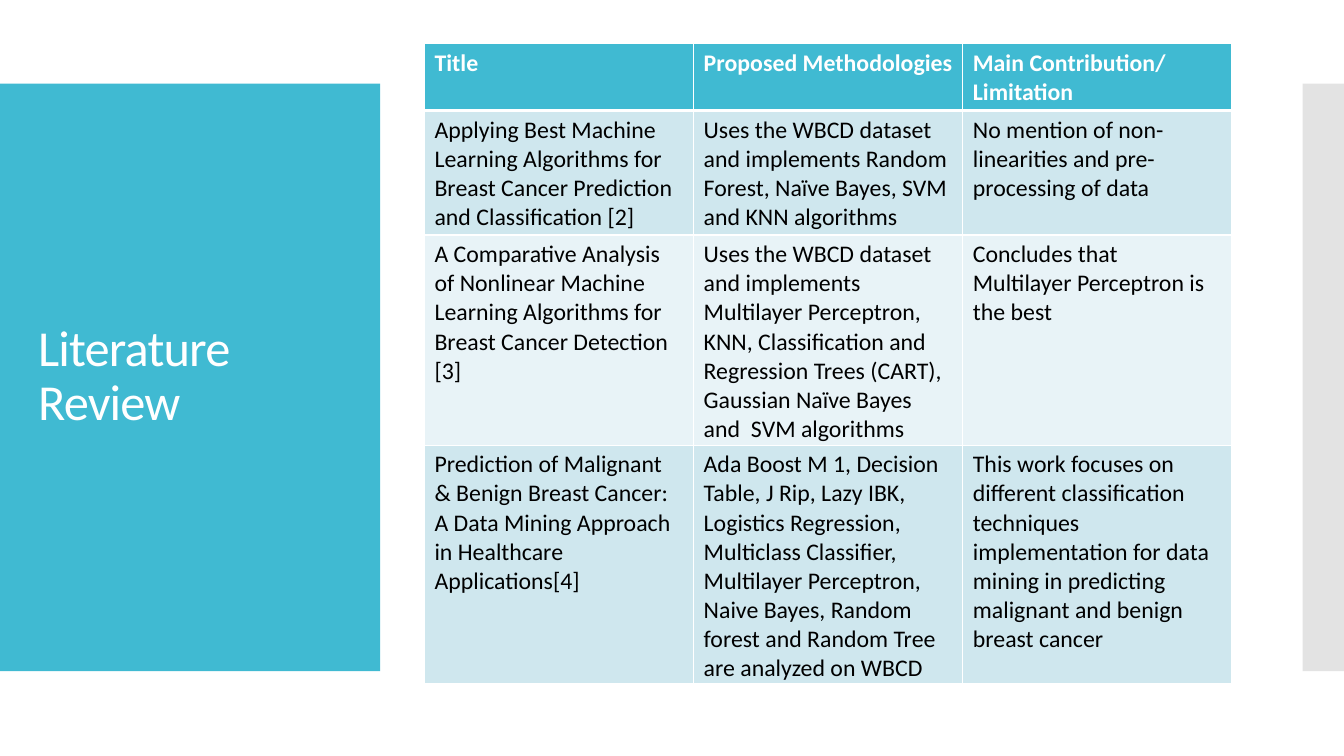
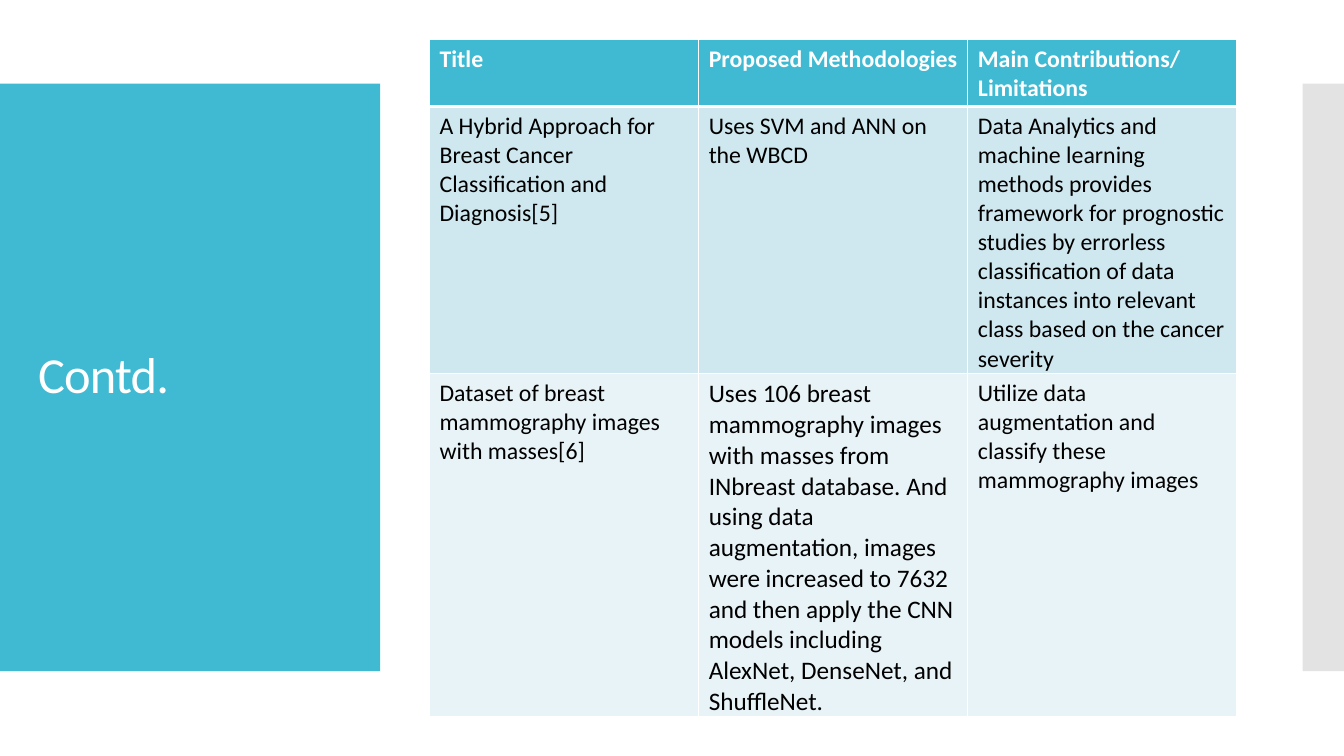
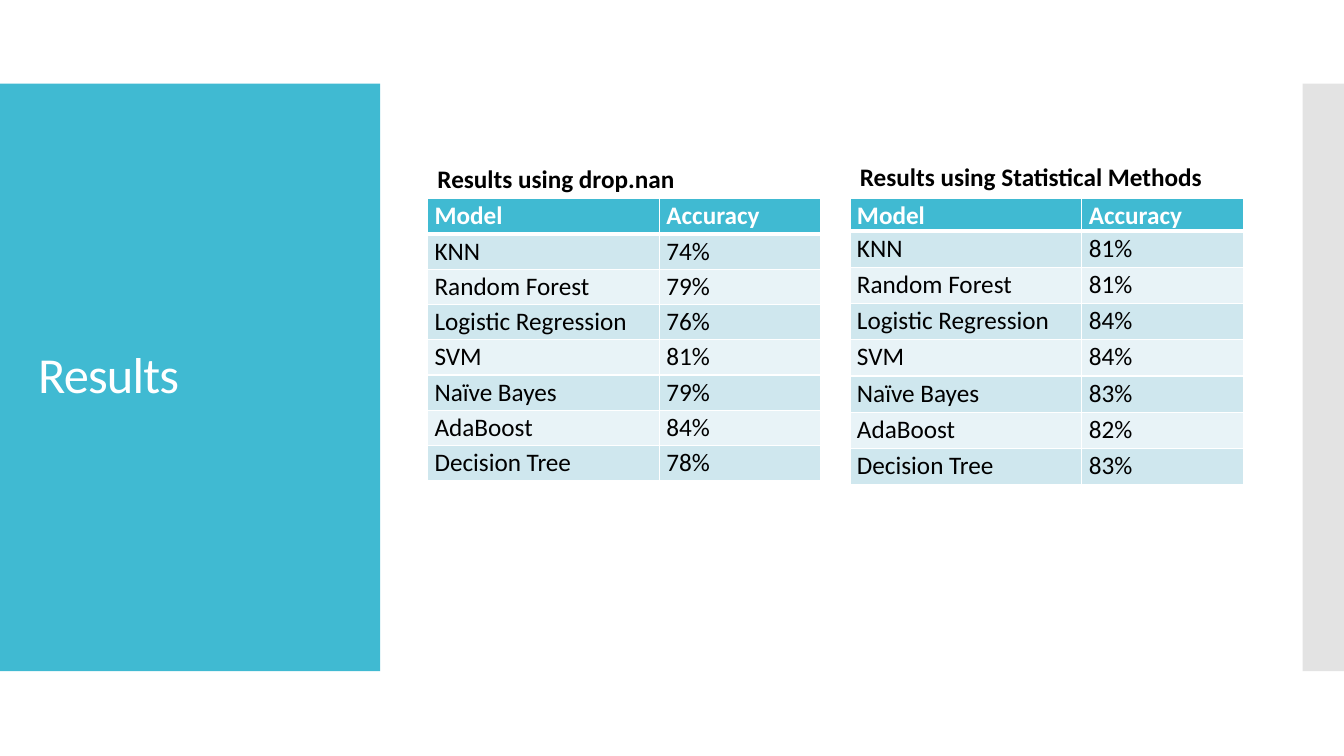
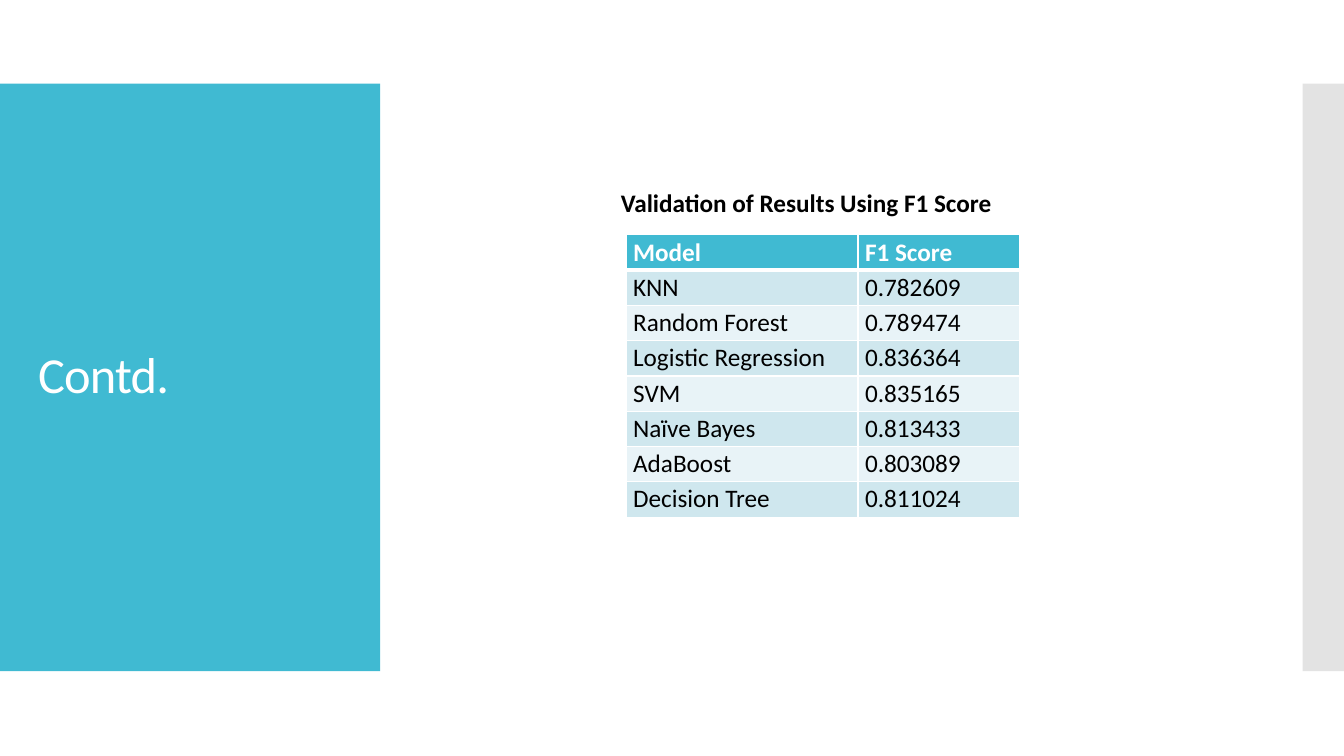
from dataclasses import dataclass

from lxml import etree
from pptx import Presentation
from pptx.dml.color import RGBColor as RGB
from pptx.enum.shapes import MSO_SHAPE as SHAPE
from pptx.enum.text import MSO_ANCHOR as ANCHOR
from pptx.oxml.ns import qn
from pptx.util import Inches, Pt


@dataclass(frozen=True)
class Theme:
    font: str = "Calibri"
    accent: RGB = RGB(0x40, 0xBA, 0xD2)
    edge: RGB = RGB(0xC8, 0xC8, 0xC8)
    band_dark: RGB = RGB(0xCF, 0xE7, 0xEE)
    band_light: RGB = RGB(0xE8, 0xF3, 0xF7)
    white: RGB = RGB(0xFF, 0xFF, 0xFF)
    black: RGB = RGB(0x00, 0x00, 0x00)
    title_size: float = 36
    review_size: float = 17
    score_size: float = 18


THEME = Theme()
MODELS = ["KNN", "Random Forest", "Logistic Regression", "SVM",
          "Naïve Bayes", "AdaBoost", "Decision Tree"]

REVIEW = [
    ["Title", "Proposed Methodologies", "Main Contribution/ Limitation"],
    ["Applying Best Machine Learning Algorithms for Breast Cancer Prediction "
     "and Classification [2]",
     "Uses the WBCD dataset and implements Random Forest, Naïve Bayes, SVM "
     "and KNN algorithms",
     "No mention of non-linearities and pre-processing of data"],
    ["A Comparative Analysis of Nonlinear Machine Learning Algorithms for "
     "Breast Cancer Detection [3]",
     "Uses the WBCD dataset and implements Multilayer Perceptron, KNN, "
     "Classification and Regression Trees (CART), Gaussian Naïve Bayes "
     "and  SVM algorithms",
     "Concludes that Multilayer Perceptron is the best"],
    ["Prediction of Malignant & Benign Breast Cancer: A Data Mining Approach "
     "in Healthcare Applications[4]",
     "Ada Boost M 1, Decision Table, J Rip, Lazy IBK, Logistics Regression, "
     "Multiclass Classifier, Multilayer Perceptron, Naive Bayes, Random "
     "forest and Random Tree are analyzed on WBCD",
     "This work focuses on different classification techniques implementation "
     "for data mining in predicting malignant and benign breast cancer"],
]

REVIEW_CONTD = [
    ["Title", "Proposed Methodologies", "Main Contributions/ Limitations"],
    ["A Hybrid Approach for Breast Cancer Classification and Diagnosis[5]",
     "Uses SVM and ANN on the WBCD",
     "Data Analytics and machine learning methods provides framework for "
     "prognostic studies by errorless classification of data instances into "
     "relevant class based on the cancer severity"],
    ["Dataset of breast mammography images with masses[6]",
     "Uses 106 breast mammography images with masses from INbreast database. "
     "And using data augmentation, images were increased to 7632 and then "
     "apply the CNN models including AlexNet, DenseNet, and ShuffleNet.",
     "Utilize data augmentation and classify these mammography images"],
]


def add_run(p, text, size, color, bold=False):
    r = p.add_run()
    r.text = text
    r.font.name = THEME.font
    r.font.size = Pt(size)
    r.font.bold = bold
    r.font.color.rgb = color
    return r


def add_band(slide, left, width, color, alpha=None):
    """Draw a full-height side band; alpha is its opacity in percent."""
    sp = slide.shapes.add_shape(SHAPE.RECTANGLE, Inches(left), Inches(0.83),
                                Inches(width), Inches(5.83))
    sp.shadow.inherit = False
    sp.line.fill.background()
    sp.fill.solid()
    sp.fill.fore_color.rgb = color
    if alpha is not None:
        clr = sp.fill._xPr.find(f".//{qn('a:srgbClr')}")
        etree.SubElement(clr, qn("a:alpha"), val=str(alpha * 1000))


def add_text_box(slide, left, top, width, height):
    sp = slide.shapes.add_textbox(Inches(left), Inches(top),
                                  Inches(width), Inches(height))
    sp.text_frame.word_wrap = True
    return sp.text_frame


def add_titled_slide(prs, title):
    slide = prs.slides.add_slide(prs.slide_layouts[6])
    add_band(slide, 0, 3.77, THEME.accent)
    add_band(slide, 12.92, 0.42, THEME.edge, alpha=50)
    tf = add_text_box(slide, 0.28, 1.23, 3.22, 5.03)
    tf.vertical_anchor = ANCHOR.MIDDLE
    p = tf.paragraphs[0]
    p.line_spacing = 0.9
    r = add_run(p, title, THEME.title_size, THEME.white)
    r.font._element.set("spc", "-60")
    return slide


def add_caption(slide, left, top, width, text):
    tf = add_text_box(slide, left, top, width, 0.4)
    add_run(tf.paragraphs[0], text, THEME.score_size, THEME.black, bold=True)


def set_borders(cell, row):
    """Rule the cell in white, with a heavier line below the header row."""
    widths = {"L": 1, "R": 1, "T": 3 if row == 1 else 1, "B": 3 if row == 0 else 1}
    tc_pr = cell._tc.get_or_add_tcPr()
    for side, width in widths.items():
        ln = etree.SubElement(tc_pr, qn(f"a:ln{side}"), w=str(Pt(width)))
        fill = etree.SubElement(ln, qn("a:solidFill"))
        etree.SubElement(fill, qn("a:srgbClr"), val=str(THEME.white))


def add_table(slide, left, top, col_widths, row_heights, rows, size,
              compact=False, sizes=None):
    """Add a banded table; sizes maps (row, column) to a differing type size."""
    sizes = sizes or {}
    table = slide.shapes.add_table(
        len(rows), len(col_widths), Inches(left), Inches(top),
        Inches(sum(col_widths)), Inches(sum(row_heights))).table
    for column, width in zip(table.columns, col_widths):
        column.width = Inches(width)
    for i, (height, texts) in enumerate(zip(row_heights, rows)):
        table.rows[i].height = Inches(height)
        header = i == 0
        band = THEME.band_dark if i % 2 else THEME.band_light
        for j, text in enumerate(texts):
            cell = table.cell(i, j)
            set_borders(cell, i)
            cell.fill.solid()
            cell.fill.fore_color.rgb = THEME.accent if header else band
            p = cell.text_frame.paragraphs[0]
            if compact:
                cell.margin_left = cell.margin_right = Inches(0.07)
                cell.margin_top = cell.margin_bottom = 0
                p.line_spacing = 1.07
            add_run(p, text, sizes.get((i, j), size),
                    THEME.white if header else THEME.black, bold=header)


def add_review_table(slide, left, top, rows, sizes=None):
    add_table(slide, left, top, [2.67] * 3, [0.41] * len(rows), rows,
              THEME.review_size, sizes=sizes)


def add_score_table(slide, left, top, measure, scores,
                    header_height=0.35, row_height=0.35):
    rows = [("Model", measure), *zip(MODELS, scores)]
    heights = [header_height] + [row_height] * len(MODELS)
    add_table(slide, left, top, [2.3, 1.6], heights, rows,
              THEME.score_size, compact=True)


def main():
    prs = Presentation()
    prs.slide_width, prs.slide_height = Inches(13.33), Inches(7.5)

    slide = add_titled_slide(prs, "Literature Review")
    add_review_table(slide, 4.21, 0.43, REVIEW)

    slide = add_titled_slide(prs, "Contd.")
    add_review_table(slide, 4.26, 0.39, REVIEW_CONTD, sizes={(2, 1): 18})

    slide = add_titled_slide(prs, "Results")
    add_score_table(slide, 8.43, 1.97, "Accuracy",
                    ["81%", "81%", "84%", "84%", "83%", "82%", "83%"],
                    header_height=0.31, row_height=0.36)
    add_score_table(slide, 4.24, 1.97, "Accuracy",
                    ["74%", "79%", "76%", "81%", "79%", "84%", "78%"])
    add_caption(slide, 4.24, 1.57, 3.89, "Results using drop.nan")
    add_caption(slide, 8.43, 1.55, 3.89, "Results using Statistical Methods")

    slide = add_titled_slide(prs, "Contd.")
    add_score_table(slide, 6.21, 2.33, "F1 Score",
                    ["0.782609", "0.789474", "0.836364", "0.835165",
                     "0.813433", "0.803089", "0.811024"])
    add_caption(slide, 6.06, 1.81, 4.19, "Validation of Results Using F1 Score")

    prs.save("out.pptx")


if __name__ == "__main__":
    main()
